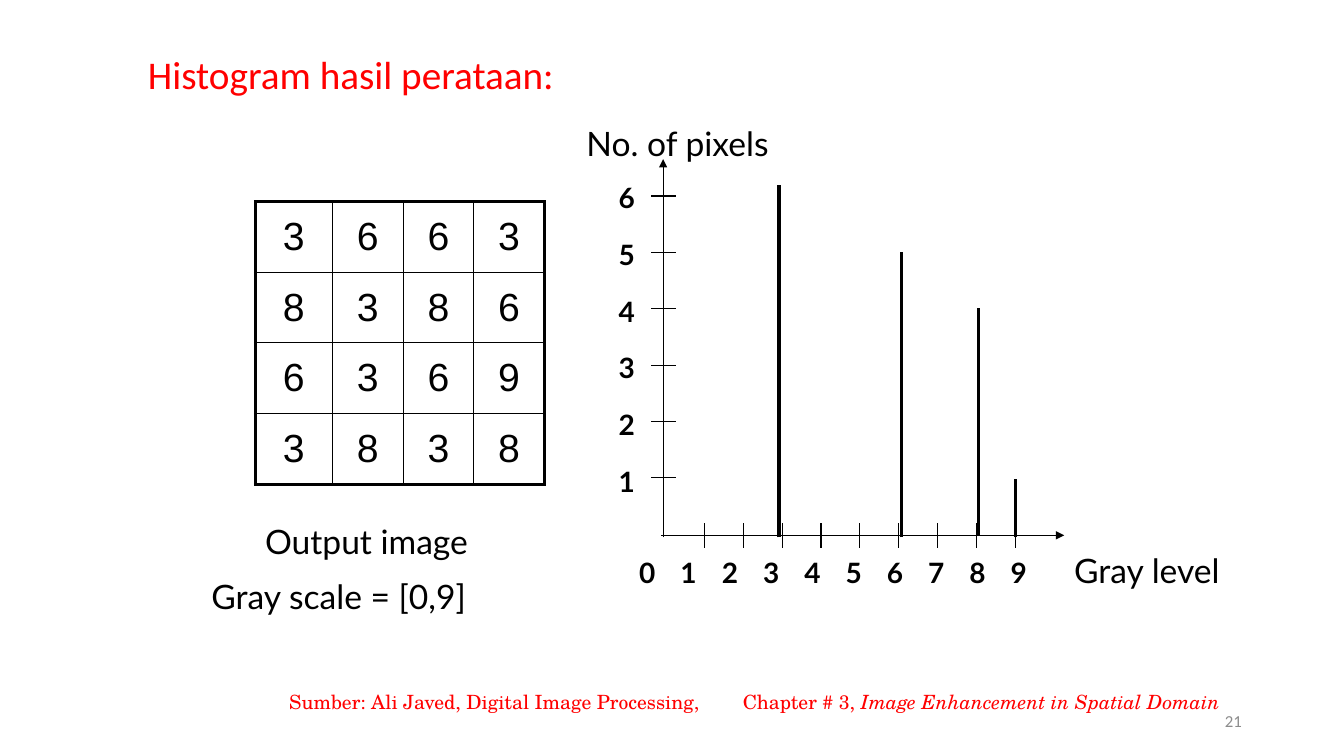
import pptx
import pptx.dml.color
import pptx.enum.shapes
import pptx.enum.text
import pptx.oxml.ns
import pptx.util
from lxml import etree

Cm = pptx.util.Cm
Pt = pptx.util.Pt
hue = pptx.dml.color.RGBColor.from_string
qn = pptx.oxml.ns.qn
ALIGN = pptx.enum.text.PP_ALIGN
MIDDLE = pptx.enum.text.MSO_ANCHOR.MIDDLE
BLACK = "000000"
RED = "FF0000"

deck = pptx.Presentation()
deck.slide_width = Cm(33.87)
deck.slide_height = Cm(19.05)
slide = deck.slides.add_slide(deck.slide_layouts[6])


def write(text, left, top, width, height, size, font="Lato", color=BLACK, wrap=False):
    """Add a one-paragraph text box and return its frame."""
    frame = slide.shapes.add_textbox(Cm(left), Cm(top), Cm(width), Cm(height)).text_frame
    frame.word_wrap = wrap
    frame.auto_size = pptx.enum.text.MSO_AUTO_SIZE.SHAPE_TO_FIT_TEXT
    line = frame.paragraphs[0]
    line.add_run().text = text
    line.font.name = font
    line.font.size = Pt(size)
    line.font.color.rgb = hue(color)
    return frame


def draw(x1, y1, x2, y2, weight=0.75, arrow=False):
    """Add a straight black line, with an arrowhead at its end if asked."""
    line = slide.shapes.add_connector(
        pptx.enum.shapes.MSO_CONNECTOR.STRAIGHT, Cm(x1), Cm(y1), Cm(x2), Cm(y2))
    line.line.color.rgb = hue(BLACK)
    line.line.width = Pt(weight)
    if arrow:
        etree.SubElement(line.line._get_or_add_ln(), qn("a:tailEnd"), type="triangle")
    etree.SubElement(line._element.spPr, qn("a:effectLst"))


write("Histogram hasil perataan:", 3.48, 1.14, 11.07, 1.45, 28, "Calibri", RED)

# Output image as a grid of gray levels
pixels = ["3663", "8386", "6369", "3838"]
last = len(pixels) - 1
grid = slide.shapes.add_table(4, 4, Cm(6.43), Cm(5.08), Cm(7.29), Cm(7.12)).table
grid.first_row = False
grid.horz_banding = False
for col, width in zip(grid.columns, [1.95, 1.78, 1.78, 1.78]):
    col.width = Cm(width)
for r, levels in enumerate(pixels):
    grid.rows[r].height = Cm(1.78)
    for c, level in enumerate(levels):
        cell = grid.cell(r, c)
        cell.text = level
        cell.vertical_anchor = MIDDLE
        para = cell.text_frame.paragraphs[0]
        para.alignment = ALIGN.CENTER
        para.font.name = "Arial"
        para.font.size = Pt(28)
        para.font.color.rgb = hue(BLACK)
        edges = {"L": c == 0, "R": c == last, "T": r == 0, "B": r == last}
        for side, outer in edges.items():
            edge = etree.SubElement(cell._tc.get_or_add_tcPr(), qn("a:ln" + side),
                                    w=str(Pt(2.25 if outer else 1)))
            fill = etree.SubElement(edge, qn("a:solidFill"))
            etree.SubElement(fill, qn("a:srgbClr"), val=BLACK)
        cell.fill.background()

write("Output image", 6.43, 13, 5.87, 1.27, 24)
write("Gray scale = [0,9]", 5.08, 14.4, 7.34, 1.27, 24)

# Histogram: axes, ticks, labels and bars
draw(16.66, 13.49, 26.82, 13.49, arrow=True)
draw(16.71, 13.54, 16.71, 4.01, arrow=True)
for i in range(9):
    x = 17.75 + 0.98 * i
    draw(x, 13.18, x, 13.82)
for i in range(6):
    y = 12.04 - 1.42 * i
    draw(16.41, y, 17.04, y)

marks = [(i, 15.86 + 1.04 * i, 13.87) for i in range(10)]
marks += [(i + 1, 15.34, 11.58 - 1.43 * i) for i in range(6)]
for value, x, y in marks:
    write(str(value), x, y, 0.97, 1.09, 20).paragraphs[0].font.bold = True

for x, base, peak in [(19.63, 13.54, 4.65), (22.71, 13.54, 6.35),
                      (24.66, 13.49, 7.77), (25.6, 13.54, 12.07)]:
    draw(x, base, x, peak, 2.25)

write("No. of pixels", 14.53, 2.97, 5.16, 1.27, 24)
write("Gray level", 26.82, 13.72, 4.22, 1.27, 24)

# Footer
source = write("Sumber: Ali Javed, Digital Image Processing, \tChapter # 3, ",
               7.04, 17.25, 25.3, 0.86, 14, "TeX Gyre Schola", RED, True)
title = source.paragraphs[0].add_run()
title.text = "Image Enhancement in Spatial Domain"
title.font.italic = True

number = write("21", 23.93, 17.65, 7.62, 1.02, 12, "Calibri", "8C8C8C", True)
number.auto_size = pptx.enum.text.MSO_AUTO_SIZE.NONE
number.vertical_anchor = MIDDLE
number.paragraphs[0].alignment = ALIGN.RIGHT

deck.save("out.pptx")
